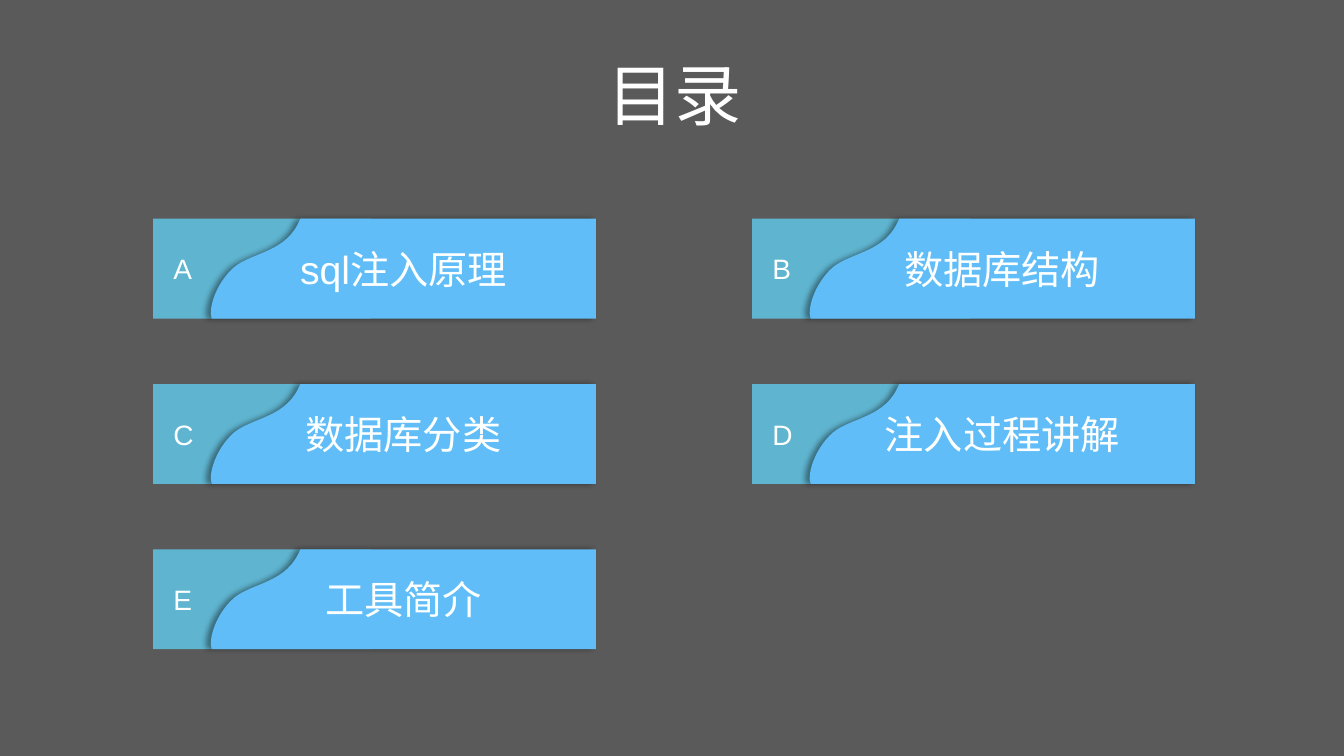
from lxml.etree import SubElement, fromstring
from pptx import Presentation
from pptx.dml.color import RGBColor
from pptx.enum.shapes import MSO_SHAPE
from pptx.enum.text import MSO_ANCHOR, PP_ALIGN
from pptx.oxml.ns import qn
from pptx.util import Inches, Pt

GREY = RGBColor(0x5A, 0x5A, 0x5A)
TEAL = RGBColor(0x5F, 0xB4, 0xCF)
BLUE = RGBColor(0x60, 0xBD, 0xF7)
WHITE = RGBColor(0xFF, 0xFF, 0xFF)
OFF_WHITE = RGBColor(0xFE, 0xFF, 0xFF)

SHADOW = (
    '<a:outerShdw xmlns:a="http://schemas.openxmlformats.org/drawingml/2006/main" '
    f'blurRad="{Pt(4)}" dist="{Pt(3)}" dir="10800000" algn="r" rotWithShape="0">'
    '<a:srgbClr val="000000"><a:alpha val="40000"/></a:srgbClr></a:outerShdw>'
)


def write(shape, text, size, color, align):
    tf = shape.text_frame
    tf.word_wrap = True
    tf.vertical_anchor = MSO_ANCHOR.MIDDLE
    p = tf.paragraphs[0]
    p.text = text
    p.alignment = align
    font = p.runs[0].font
    font.name, font.size, font.color.rgb = "Arial", Pt(size), color


def curve_tail(shape, count):
    """Turn the last segments, three at a time, into cubic curves."""
    lines = list(shape._element.iter(qn("a:lnTo")))[-3 * count:]
    for i in range(0, len(lines), 3):
        curve = SubElement(lines[i].getparent(), qn("a:cubicBezTo"))
        lines[i].addprevious(curve)
        for line in lines[i:i + 3]:
            curve.append(line[0])
            line.getparent().remove(line)


prs = Presentation()
prs.slide_width, prs.slide_height = Inches(13.33), Inches(7.5)
s = prs.slides.add_slide(prs.slide_layouts[6])
s.background.fill.solid()
s.background.fill.fore_color.rgb = GREY

# Title
title = s.shapes.add_textbox(Inches(5.37), Inches(0.43), Inches(2.64), Inches(1))
write(title, "目录", 48, WHITE, PP_ALIGN.CENTER)

# Outline of the wavy panel, measured from the card's top left corner;
# the last two rows are the control and end points of its curves
outline = [
    (1.46, 0), (4.39, 0), (4.39, 0.99), (0.58, 0.99), (0.57, 0.94),
    (0.57, 0.81), (0.65, 0.63), (0.77, 0.51),
    (0.93, 0.34), (1.28, 0.35), (1.43, 0.06),
]

# Agenda cards, two to a row
LEFT, TOP, COL_STEP, ROW_STEP = 1.52, 2.17, 5.94, 1.64
topics = ["sql注入原理", "数据库结构", "数据库分类", "注入过程讲解", "工具简介"]
for i, (letter, topic) in enumerate(zip("ABCDE", topics)):
    row, col = divmod(i, 2)
    x, y = LEFT + col * COL_STEP, TOP + row * ROW_STEP
    card = s.shapes.add_group_shape().shapes

    # Letter tab
    tab = card.add_shape(MSO_SHAPE.RECTANGLE, Inches(x), Inches(y), Inches(2.16), Inches(0.99))
    tab.text_frame.margin_left = Inches(0.2)
    write(tab, letter, 20, OFF_WHITE, PP_ALIGN.LEFT)

    # Topic panel
    points = [(Inches(x + dx), Inches(y + dy)) for dx, dy in outline]
    builder = card.build_freeform(*points[0])
    builder.add_line_segments(points[1:], close=True)
    panel = builder.convert_to_shape()
    curve_tail(panel, 2)
    write(panel, topic, 28, OFF_WHITE, PP_ALIGN.CENTER)

    for sp, color in ((tab, TEAL), (panel, BLUE)):
        sp.fill.solid()
        sp.fill.fore_color.rgb = color
        sp.line.fill.background()
        sp.shadow.inherit = False
    panel._element.spPr.find(qn("a:effectLst")).append(fromstring(SHADOW))

prs.save("out.pptx")
